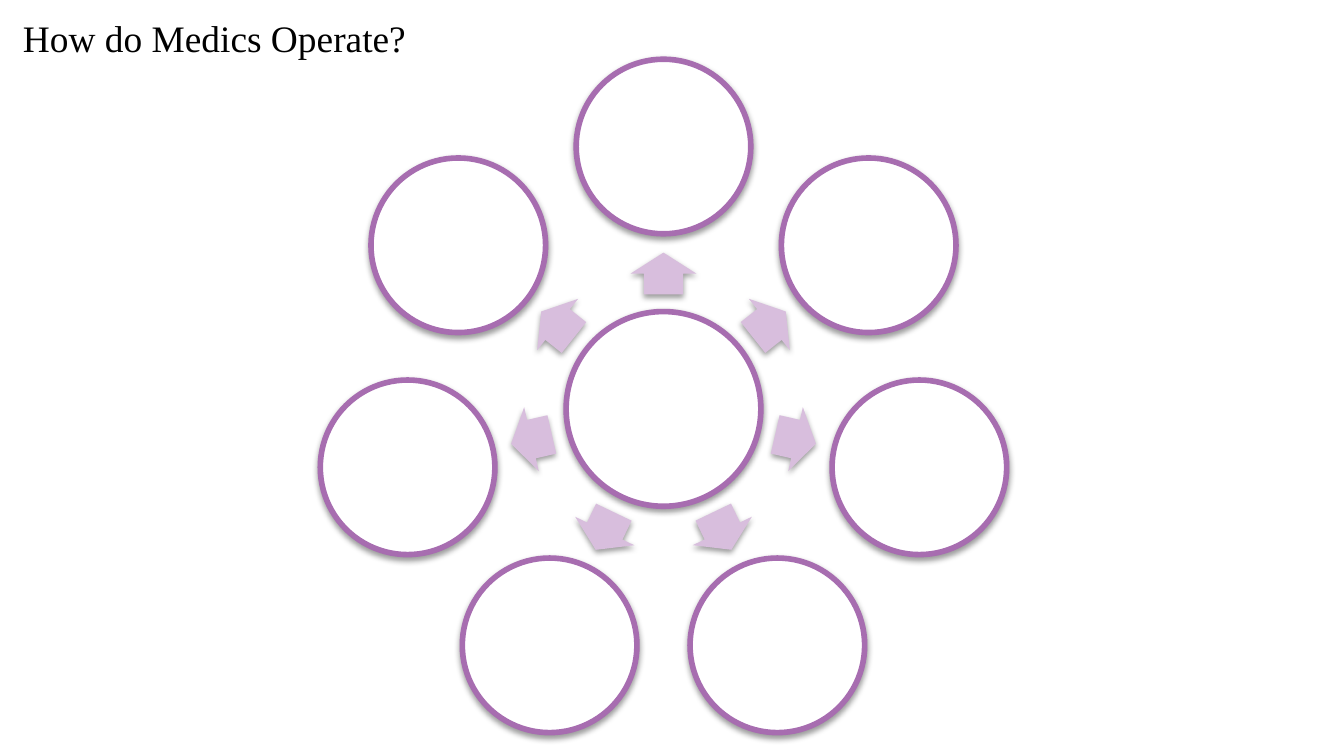
from math import cos, radians, sin

from lxml.etree import SubElement
from pptx import Presentation
from pptx.dml.color import RGBColor
from pptx.enum.shapes import MSO_SHAPE
from pptx.enum.text import MSO_ANCHOR, MSO_AUTO_SIZE, PP_ALIGN
from pptx.oxml.ns import qn
from pptx.util import Cm, Pt

# Content
TITLE = "How do Medics Operate?"
SPOKES = 7

# Style
FONT = "Times New Roman"
BLACK = RGBColor(0x00, 0x00, 0x00)
WHITE = RGBColor(0xFF, 0xFF, 0xFF)
PURPLE = RGBColor(0xA7, 0x6D, 0xB0)
LILAC = RGBColor(0xD8, 0xBE, 0xDD)

# Radial layout, in centimetres
CENTER_X, CENTER_Y = 12.54, 7.73
HUB_SIZE, NODE_SIZE = 3.68, 3.3
ARROW_W, ARROW_H = 0.79, 1.24
NODE_RADIUS, ARROW_RADIUS = 4.96, 2.56


def add_shadow(sp):
    sp.shadow.inherit = False
    effects = sp._element.spPr.find(qn("a:effectLst"))
    shadow = SubElement(effects, qn("a:outerShdw"), blurRad=str(Pt(3.1)),
                        dist=str(Pt(1.6)), dir="5400000", rotWithShape="0")
    color = SubElement(shadow, qn("a:srgbClr"), val=str(BLACK))
    SubElement(color, qn("a:alpha"), val="38000")


def add_part(group, kind, angle, radius, width, height, fill):
    """Place a shape centred at a polar position around the hub."""
    x = CENTER_X + radius * cos(radians(angle))
    y = CENTER_Y + radius * sin(radians(angle))
    sp = group.shapes.add_shape(kind, Cm(x - width / 2), Cm(y - height / 2),
                                Cm(width), Cm(height))
    sp.fill.solid()
    sp.fill.fore_color.rgb = fill
    sp.line.fill.background()
    add_shadow(sp)
    return sp


def add_circle(group, angle, radius, size):
    sp = add_part(group, MSO_SHAPE.OVAL, angle, radius, size, size, WHITE)
    sp.line.color.rgb = PURPLE
    sp.line.width = Pt(3)


def add_arrow(group, angle):
    sp = add_part(group, MSO_SHAPE.RIGHT_ARROW, angle, ARROW_RADIUS,
                  ARROW_W, ARROW_H, LILAC)
    sp.adjustments[0] = 0.6
    sp.adjustments[1] = 0.5
    sp.rotation = angle % 360


prs = Presentation()
prs.slide_width, prs.slide_height = Cm(25.4), Cm(14.29)
s = prs.slides.add_slide(prs.slide_layouts[5])

# Title
title = s.shapes.title
title.left, title.top, title.width, title.height = Cm(0.18), Cm(0.15), Cm(8.71), Cm(1.11)
tf = title.text_frame
tf.word_wrap = True
tf.auto_size = MSO_AUTO_SIZE.SHAPE_TO_FIT_TEXT
tf.vertical_anchor = MSO_ANCHOR.TOP
p = tf.paragraphs[0]
p.alignment = PP_ALIGN.LEFT
r = p.add_run()
r.text = TITLE
r.font.name = FONT
r.font.size = Pt(20)
r.font.color.rgb = BLACK

# Hub, then an arrow and a circle per spoke, clockwise from the top
diagram = s.shapes.add_group_shape()
add_circle(diagram, 0, 0, HUB_SIZE)
for i in range(SPOKES):
    angle = -90 + i * 360 / SPOKES
    add_arrow(diagram, angle)
    add_circle(diagram, angle, NODE_RADIUS, NODE_SIZE)

prs.save("out.pptx")
